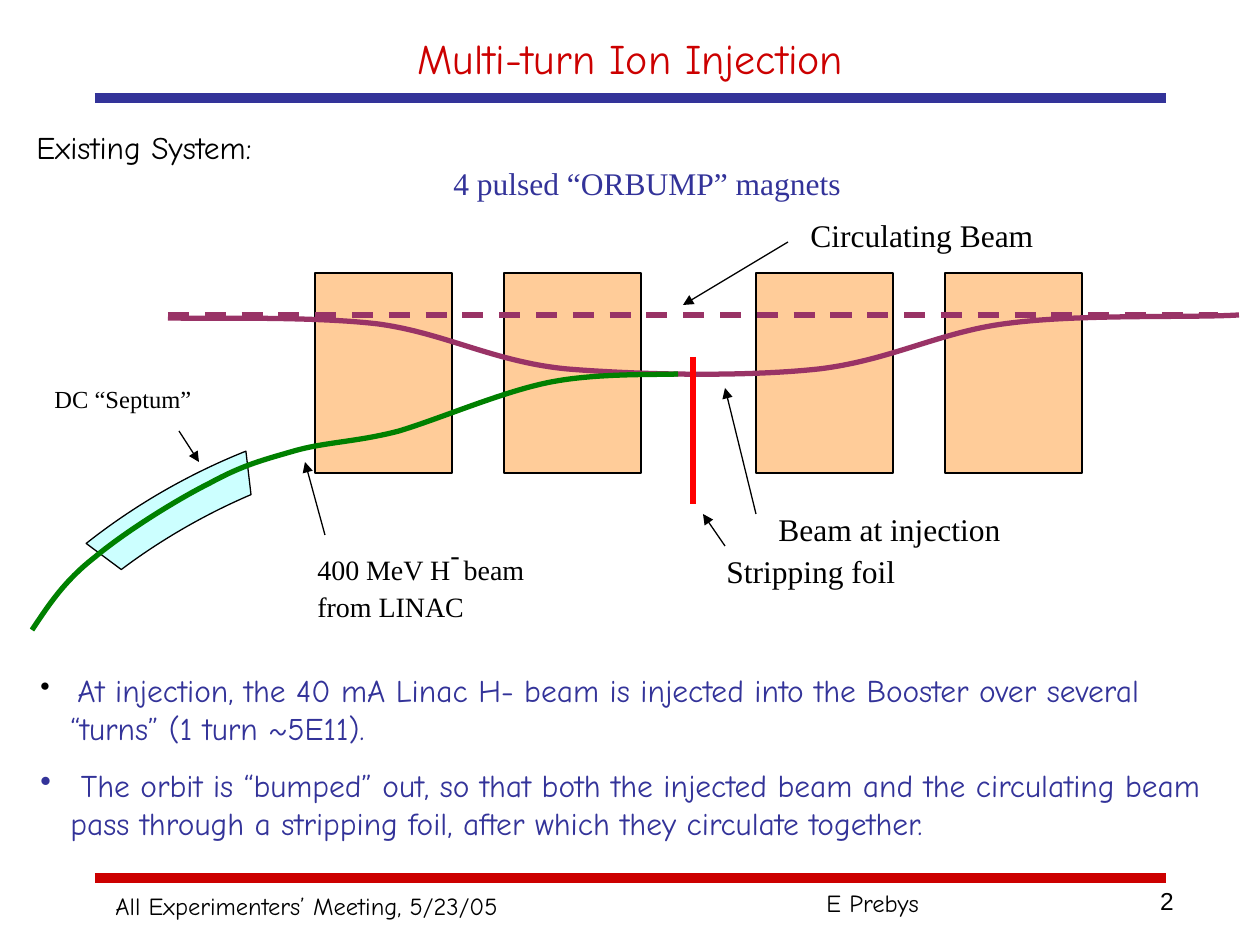
from dataclasses import dataclass

from lxml.etree import SubElement
from pptx import Presentation
from pptx.dml.color import RGBColor
from pptx.enum.dml import MSO_LINE_DASH_STYLE as Dash
from pptx.enum.shapes import MSO_CONNECTOR as Connector, MSO_SHAPE as Shape
from pptx.enum.text import MSO_ANCHOR as Anchor, PP_ALIGN as Align
from pptx.oxml.ns import qn
from pptx.util import Emu, Pt

EMU_PER_PX = 914400 / 126

BLACK = RGBColor(0x00, 0x00, 0x00)
NAVY = RGBColor(0x33, 0x33, 0x99)
CRIMSON = RGBColor(0xCC, 0x00, 0x00)
RED = RGBColor(0xFF, 0x00, 0x00)
PLUM = RGBColor(0x99, 0x33, 0x66)
GREEN = RGBColor(0x00, 0x80, 0x00)
PEACH = RGBColor(0xFF, 0xCC, 0x99)
AQUA = RGBColor(0xCC, 0xFF, 0xFF)

SERIF = "Times New Roman"
COMIC = "Comic Neue"
SANS = "Arial"

Point = tuple[int, int]
Box = tuple[int, int, int, int]


def px(value: float) -> Emu:
    return Emu(round(value * EMU_PER_PX))


@dataclass
class Span:
    text: str
    size: int
    font: str = SERIF
    color: RGBColor = BLACK
    raised: int = 0


@dataclass
class Label:
    box: Box
    span: Span
    align: Align = Align.LEFT
    anchor: Anchor = Anchor.TOP


@dataclass
class Stroke:
    start: Point
    end: Point
    color: RGBColor = BLACK
    width: float = 0.75
    dashed: bool = False
    arrow: bool = False


def style_run(run, span: Span) -> None:
    run.font.size = Pt(span.size)
    run.font.name = span.font
    run.font.color.rgb = span.color
    if span.raised:
        run.font._element.set("baseline", str(span.raised * 1000))


def fill_para(para, spans: list[Span]) -> None:
    for span in spans:
        run = para.add_run()
        run.text = span.text
        style_run(run, span)


def add_box(page, box: Box):
    frame = page.shapes.add_textbox(*map(px, box)).text_frame
    frame.word_wrap = True
    return frame


def add_label(page, label: Label) -> None:
    frame = add_box(page, label.box)
    frame.vertical_anchor = label.anchor
    frame.text = label.span.text
    para = frame.paragraphs[0]
    para.alignment = label.align
    style_run(para.runs[0], label.span)


def add_stroke(page, stroke: Stroke) -> None:
    line = page.shapes.add_connector(
        Connector.STRAIGHT, *map(px, stroke.start + stroke.end))
    line.line.color.rgb = stroke.color
    line.line.width = Pt(stroke.width)
    if stroke.dashed:
        line.line.dash_style = Dash.DASH
    if stroke.arrow:
        SubElement(line.line._get_or_add_ln(), qn("a:tailEnd"), type="triangle")
    SubElement(line._element.spPr, qn("a:effectLst"))


def add_block(page, preset: Shape, box: Box, fill: RGBColor):
    block = page.shapes.add_shape(preset, *map(px, box))
    block.shadow.inherit = False
    block.fill.solid()
    block.fill.fore_color.rgb = fill
    block.line.color.rgb = BLACK
    block.line.width = Pt(0.75)
    return block


def add_beam(page, points: list[Point], color: RGBColor) -> None:
    """Draw a smooth path: a start, then three Bezier points per section."""
    builder = page.shapes.build_freeform(*points[0], scale=EMU_PER_PX)
    builder.add_line_segments(points[1:], close=False)
    beam = builder.convert_to_shape()
    segments = list(beam._element.iter(qn("a:lnTo")))
    for first, second, third in zip(*[iter(segments)] * 3):
        first.tag = qn("a:cubicBezTo")
        for other in (second, third):
            first.append(other[0])
            other.getparent().remove(other)
    beam.shadow.inherit = False
    beam.fill.background()
    beam.line.color.rgb = color
    beam.line.width = Pt(3)


def add_bullets(page, box: Box, items: list[list[Span]], dots: list[RGBColor]) -> None:
    frame = add_box(page, box)
    for index, (spans, dot) in enumerate(zip(items, dots)):
        para = frame.add_paragraph() if index else frame.paragraphs[0]
        if index:
            para.space_before = Pt(11.2)
        props = para._p.get_or_add_pPr()
        props.set("marL", str(px(30)))
        props.set("indent", str(px(-30)))
        color = SubElement(props, qn("a:buClr"))
        SubElement(color, qn("a:srgbClr"), val=str(dot))
        SubElement(props, qn("a:buChar"), char="•")
        fill_para(para, spans)


RULES = [
    Stroke((95, 878), (1166, 878), CRIMSON, 6),
    Stroke((95, 98), (1166, 98), NAVY, 6),
]
MAGNET_LEFTS = [315, 504, 756, 945]
ORBIT = [
    (168, 318), (203, 319), (311, 316), (378, 324), (445, 333), (494, 362),
    (567, 369), (640, 375), (745, 377), (819, 369), (893, 360), (941, 331),
    (1011, 323), (1081, 314), (1191, 318), (1239, 315),
]
LINAC_BEAM = [
    (678, 374), (656, 375), (597, 373), (551, 382), (504, 391), (442, 418),
    (399, 431), (357, 442), (325, 442), (294, 451), (263, 460), (243, 465),
    (210, 483), (176, 500), (125, 532), (95, 557), (64, 581), (48, 606), (32, 630),
]
STROKES = [
    Stroke((693, 357), (693, 504), RED, 3),
    Stroke((168, 315), (1218, 315), PLUM, 3, dashed=True),
    Stroke((788, 242), (683, 305), arrow=True),
    Stroke((756, 514), (725, 388), arrow=True),
    Stroke((325, 535), (305, 462), arrow=True),
    Stroke((179, 431), (199, 462), arrow=True),
    Stroke((725, 546), (703, 514), arrow=True),
]
LABELS = [
    Label((95, 21, 1071, 73), Span("Multi-turn Ion Injection", 24, COMIC, CRIMSON),
          Align.CENTER, Anchor.MIDDLE),
    Label((24, 122, 374, 50), Span("Existing System:", 18, COMIC)),
    Label((441, 158, 420, 50), Span("4 pulsed “ORBUMP” magnets", 18, color=NAVY)),
    Label((798, 210, 294, 50), Span("Circulating Beam", 18)),
    Label((766, 504, 336, 50), Span("Beam at injection", 18)),
    Label((714, 546, 336, 50), Span("Stripping foil", 18)),
    Label((42, 378, 168, 43), Span("DC “Septum”", 14)),
    Label((103, 885, 420, 43), Span("All Experimenters’ Meeting, 5/23/05", 14, COMIC)),
    Label((814, 882, 349, 43), Span("E Prebys", 14, COMIC)),
    Label((892, 880, 294, 65), Span("2", 14, SANS), Align.RIGHT),
]
LINAC_LABEL = [
    Span("400 MeV H", 16), Span("-", 28, raised=30), Span(" ", 16, raised=30),
    Span("beam from LINAC", 16),
]
BULLETS = [
    [Span(" ", 16),
     Span("At injection, the 40 mA Linac H- beam is injected into the Booster "
          "over several “turns” (1 turn ~5E11).", 18, COMIC, NAVY)],
    [Span(" The orbit is “bumped” out, so that both the injected beam and the "
          "circulating beam pass through a stripping foil, after which they "
          "circulate together.", 18, COMIC, NAVY)],
]


def main() -> None:
    deck = Presentation()
    deck.slide_width, deck.slide_height = px(1260), px(945)
    page = deck.slides.add_slide(deck.slide_layouts[6])

    # Header and footer rules
    for rule in RULES:
        add_stroke(page, rule)

    # Septum and magnets
    septum = add_block(page, Shape.BLOCK_ARC, (-105, 462, 756, 441), AQUA)
    septum.rotation = 330
    for index, value in enumerate((148, 176, 0.096)):
        septum.adjustments[index] = value
    for left in MAGNET_LEFTS:
        add_block(page, Shape.RECTANGLE, (left, 273, 137, 200), PEACH)

    # Beams, foil and pointers
    add_beam(page, ORBIT, PLUM)
    add_beam(page, LINAC_BEAM, GREEN)
    for stroke in STROKES:
        add_stroke(page, stroke)

    # Text
    for label in LABELS:
        add_label(page, label)
    fill_para(add_box(page, (305, 525, 252, 106)).paragraphs[0], LINAC_LABEL)
    add_bullets(page, (28, 665, 1197, 184), BULLETS, [BLACK, NAVY])

    deck.save("out.pptx")


if __name__ == "__main__":
    main()
